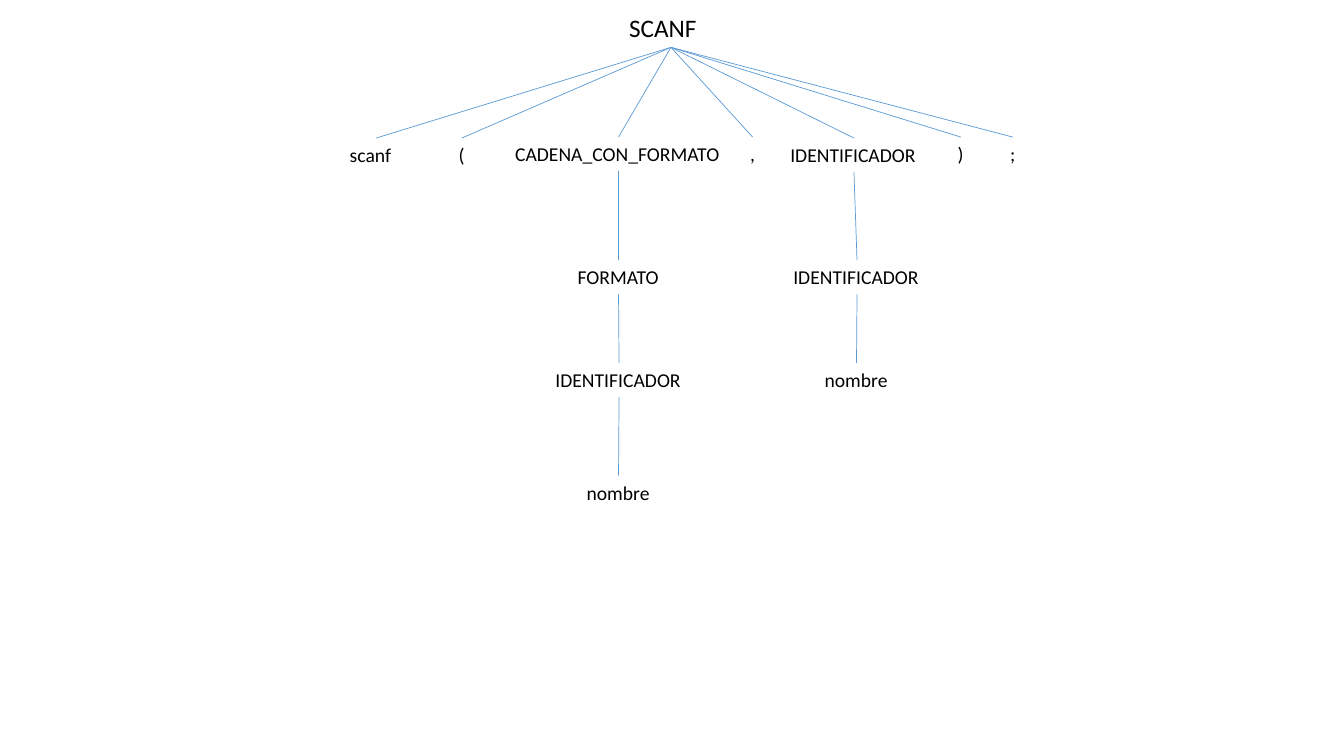
"""Build a slide with the syntax tree of a scanf statement."""
from lxml.etree import SubElement
from pptx import Presentation
from pptx.dml.color import RGBColor
from pptx.enum.shapes import MSO_CONNECTOR
from pptx.enum.text import MSO_ANCHOR, MSO_AUTO_SIZE, PP_ALIGN
from pptx.oxml.ns import qn
from pptx.util import Inches, Pt

ROOT = ("SCANF", 6.14, 0.07, 1.03)
NODES = [
    ("scanf", 3.37, 1.37, 0.72, 0),
    ("(", 4.45, 1.37, 0.26, 0),
    ("CADENA_CON_FORMATO", 5.01, 1.36, 2.25, 0),
    (",", 7.34, 1.36, 0.25, 0),
    ("IDENTIFICADOR", 7.74, 1.37, 1.46, 0),
    (")", 9.4, 1.36, 0.26, 0),
    (";", 9.92, 1.36, 0.25, 0),
    ("FORMATO", 5.63, 2.58, 1.01, 3),
    ("IDENTIFICADOR", 5.41, 3.6, 1.46, 8),
    ("nombre", 5.72, 4.72, 0.83, 9),
    ("IDENTIFICADOR", 7.77, 2.58, 1.46, 5),
    ("nombre", 8.08, 3.6, 0.83, 11),
]
BOTTOM, TOP = 2, 0


def color(code):
    return RGBColor.from_string(code)


def write(box, text, size, wrap):
    frame = box.text_frame
    frame.word_wrap = wrap
    frame.auto_size = MSO_AUTO_SIZE.SHAPE_TO_FIT_TEXT
    frame.vertical_anchor = MSO_ANCHOR.TOP
    line = frame.paragraphs[0]
    line.alignment = PP_ALIGN.CENTER if text == "," else PP_ALIGN.LEFT
    run = line.add_run()
    run.text = text
    run.font.name = "Calibri"
    run.font.size = Pt(size)
    run.font.color.rgb = color("000000")


def link(slide, above, below):
    edge = slide.shapes.add_connector(MSO_CONNECTOR.STRAIGHT, 0, 0, 0, 0)
    edge.begin_connect(above, BOTTOM)
    edge.end_connect(below, TOP)
    edge.line.color.rgb = color("5B9BD5")
    edge.line.width = Pt(0.5)
    SubElement(edge._element.spPr, qn("a:effectLst"))


def main():
    deck = Presentation()
    deck.slide_width, deck.slide_height = Inches(13.33), Inches(7.5)
    slide = deck.slides.add_slide(deck.slide_layouts[5])

    text, left, top, width = ROOT
    title = slide.shapes.title
    title.left, title.top = Inches(left), Inches(top)
    title.width, title.height = Inches(width), Inches(0.4)
    write(title, text, 18, True)

    boxes = [title]
    for text, left, top, width, parent in NODES:
        box = slide.shapes.add_textbox(
            Inches(left), Inches(top), Inches(width), Inches(0.34))
        write(box, text, 14, text == "scanf")
        link(slide, boxes[parent], box)
        boxes.append(box)

    deck.save("out.pptx")


if __name__ == "__main__":
    main()
